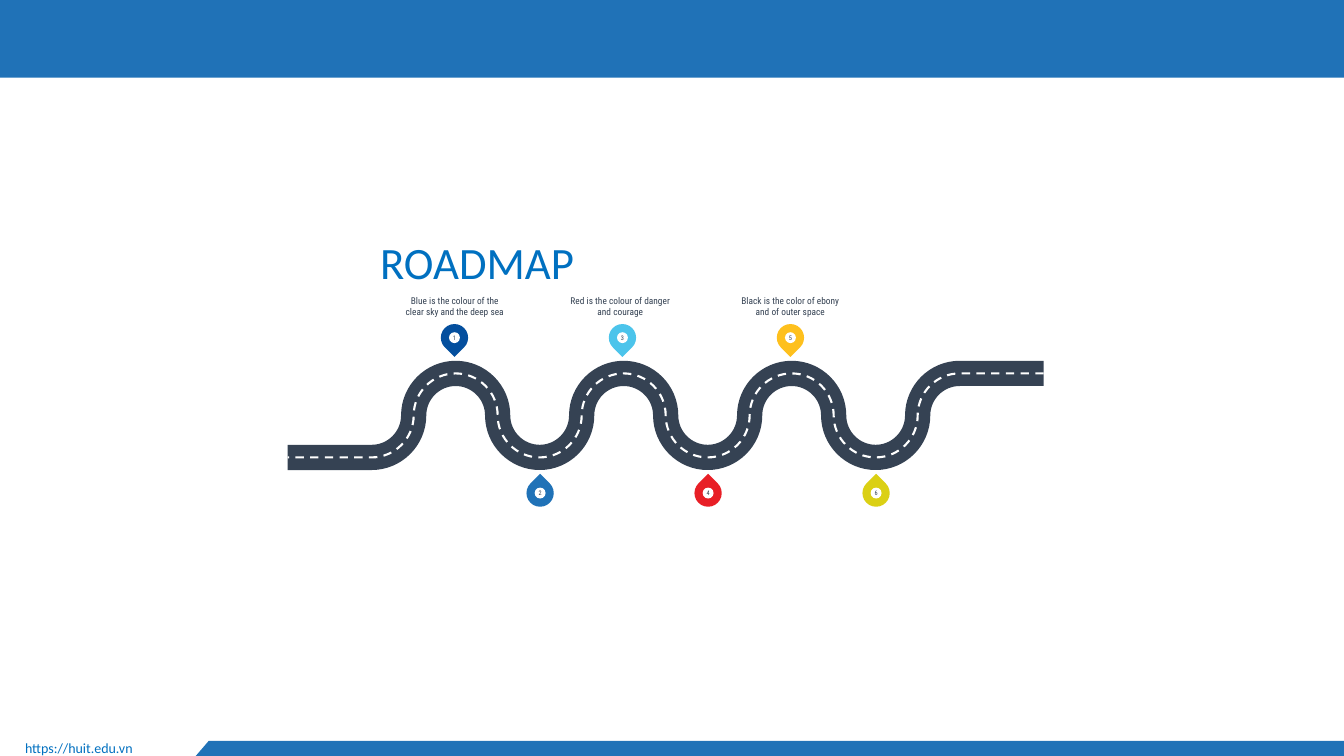
"""Build the roadmap slide on a grid of 32 columns by 18 rows."""
from lxml import etree
from pptx import Presentation
from pptx.dml.color import RGBColor
from pptx.enum.dml import MSO_LINE
from pptx.enum.shapes import MSO_SHAPE
from pptx.enum.text import MSO_ANCHOR, PP_ALIGN
from pptx.oxml.ns import qn
from pptx.util import Inches, Pt

BLUE = RGBColor(0x20, 0x72, 0xB7)
TITLE_BLUE = RGBColor(0x00, 0x70, 0xC0)
SLATE = RGBColor(0x35, 0x42, 0x53)
WHITE = RGBColor(0xFF, 0xFF, 0xFF)
PIN_COLORS = [
    RGBColor(0x04, 0x4F, 0x9E), BLUE, RGBColor(0x4C, 0xC4, 0xEB),
    RGBColor(0xE8, 0x1F, 0x26), RGBColor(0xFE, 0xC0, 0x1D), RGBColor(0xDB, 0xD0, 0x14),
]
CAPTIONS = [
    (9.56, "Blue is the colour of the clear sky and the deep sea"),
    (13.5, "Red is the colour of danger and courage"),
    (17.55, "Black is the color of ebony and of outer space"),
]
RECT, OVAL, TEARDROP = MSO_SHAPE.RECTANGLE, MSO_SHAPE.OVAL, MSO_SHAPE.TEAR
LEFT, CENTER = PP_ALIGN.LEFT, PP_ALIGN.CENTER
BOTTOM, MIDDLE, TOP = MSO_ANCHOR.BOTTOM, MSO_ANCHOR.MIDDLE, MSO_ANCHOR.TOP
DASH = MSO_LINE.DASH

BODY_FONT, TITLE_FONT = "Roboto Condensed", "Calibri"
COLS, ROWS = 32, 18
CELL = Inches(7.5) / ROWS
ROAD_X, ROAD_Y = 6.85, 9.89
ROAD_COLS, BENDS = 18, 8
ARC_PULL = 0.55
PIN, HOLE, PIN_GAP = 0.65, 0.26, 1.85
PIN_X, PIN_SHIFT = 10.82, 0.04


def grid(*cells):
    """Turn grid cells into slide lengths."""
    return [round(c * CELL) for c in cells]


def write(shape, text, size, font, color, align, anchor, side=0, edge=0):
    """Put one formatted paragraph into a shape."""
    tf = shape.text_frame
    tf.word_wrap = True
    tf.vertical_anchor = anchor
    tf.margin_left = tf.margin_right = Inches(side)
    tf.margin_top = tf.margin_bottom = Inches(edge)
    tf.text = text
    p = tf.paragraphs[0]
    p.alignment = align
    r = p.runs[0]
    r.font.size, r.font.name = Pt(size), font
    r.font.color.rgb = color
    return p


def paint(sp, color):
    """Give a shape a plain fill without line or shadow."""
    sp.shadow.inherit = False
    sp.fill.solid()
    sp.fill.fore_color.rgb = color
    sp.line.fill.background()
    return sp


def add_path(s, points, close):
    """Draw an outline through grid points."""
    points = [tuple(grid(x, y)) for x, y in points]
    fb = s.shapes.build_freeform(*points[0])
    fb.add_line_segments(points[1:], close=close)
    return fb.convert_to_shape()


def road_points():
    """List the quarter-turn ends of the road from right to left."""
    points = [(ROAD_COLS, -1)]
    for bend in range(BENDS, 0, -1):
        points.append((2 * bend, -1 if bend % 2 == 0 else 1))
        if bend > 1:
            points.append((2 * bend - 1, 0))
    points.append((0, 1))
    return [(ROAD_X + x, ROAD_Y + y) for x, y in points]


def bend_road(sp):
    """Turn the segments between the straight ends into quarter arcs."""
    steps = list(sp._element.iter(qn("a:lnTo")))
    ends = [(int(step[0].get("x")), int(step[0].get("y"))) for step in steps]
    for i, step in enumerate(steps[1:-1], 1):
        (x0, y0), (x1, y1) = ends[i - 1], ends[i]
        dx, dy = (x1 - x0) * ARC_PULL, (y1 - y0) * ARC_PULL
        if i % 2:
            controls = (x0 + dx, y0), (x1, y1 - dy)
        else:
            controls = (x0, y0 + dy), (x1 - dx, y1)
        step.tag = qn("a:cubicBezTo")
        for position, (x, y) in enumerate(controls):
            pt = etree.Element(qn("a:pt"), x=str(round(x)), y=str(round(y)))
            step.insert(position, pt)


def add_road(s, color, width, dash=None):
    """Stroke the winding road once."""
    sp = add_path(s, road_points(), False)
    bend_road(sp)
    sp.shadow.inherit = False
    sp.fill.background()
    sp.line.color.rgb = color
    sp.line.width = Pt(width)
    if dash:
        sp.line.dash_style = dash


def add_pin(s, number, color):
    """Add a numbered pin above an odd bend or below an even one."""
    above = number % 2 == 1
    x = PIN_X + 2 * (number - 1) + (0 if above else PIN_SHIFT)
    y = ROAD_Y + (-PIN_GAP if above else PIN_GAP)
    group = s.shapes.add_group_shape()
    drop, hole = [
        group.shapes.add_shape(kind, *grid(x - d / 2, y - d / 2, d, d))
        for kind, d in ((TEARDROP, PIN), (OVAL, HOLE))
    ]
    paint(drop, color).rotation = 135 if above else 315
    write(paint(hole, WHITE), str(number), 4.5, BODY_FONT, SLATE, CENTER, MIDDLE)


def add_text(s, cells, *style):
    """Add a formatted text box."""
    write(s.shapes.add_textbox(*grid(*cells)), *style)


def add_frame(s):
    """Add the header band, the footer band and the web address."""
    paint(s.shapes.add_shape(RECT, *grid(0, 0, COLS, 1.85)), BLUE)
    footer = [(4.97, 17.64), (COLS, 17.64), (COLS, ROWS), (4.66, ROWS)]
    paint(add_path(s, footer, True), BLUE)
    add_text(s, (0.36, 17.48, 4.27, 0.52), "https://huit.edu.vn",
             10, TITLE_FONT, TITLE_BLUE, LEFT, TOP, 0.1, 0.05)


def add_title(s):
    """Place and format the title."""
    title = s.shapes.title
    title.left, title.top, title.width, title.height = grid(8.88, 5.72, 11.33, 1.34)
    p = write(title, "ROADMAP", 32, TITLE_FONT, TITLE_BLUE, LEFT, BOTTOM, 0.07, 0.07)
    p.line_spacing = 0.9


def main():
    """Build and save the slide."""
    prs = Presentation()
    prs.slide_width, prs.slide_height = grid(COLS, ROWS)
    s = prs.slides.add_slide(prs.slide_layouts[5])
    add_frame(s)
    add_title(s)
    add_road(s, SLATE, 18)
    add_road(s, WHITE, 1.5, DASH)
    for number, color in enumerate(PIN_COLORS, 1):
        add_pin(s, number, color)
    for x, caption in CAPTIONS:
        add_text(s, (x, 6.5, 2.54, 1.06), caption,
                 6.75, BODY_FONT, SLATE, CENTER, BOTTOM)
    prs.save("out.pptx")


if __name__ == "__main__":
    main()
